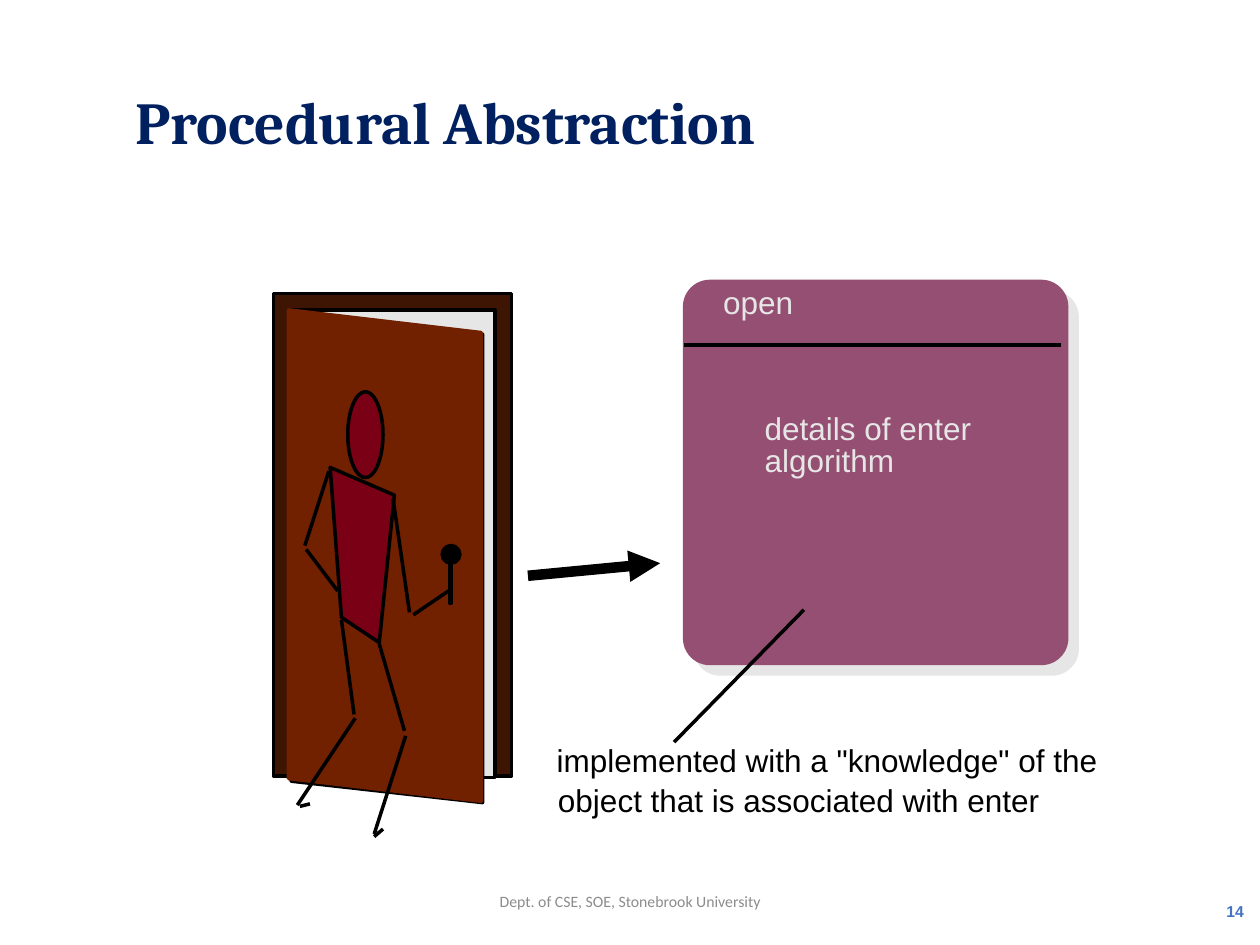
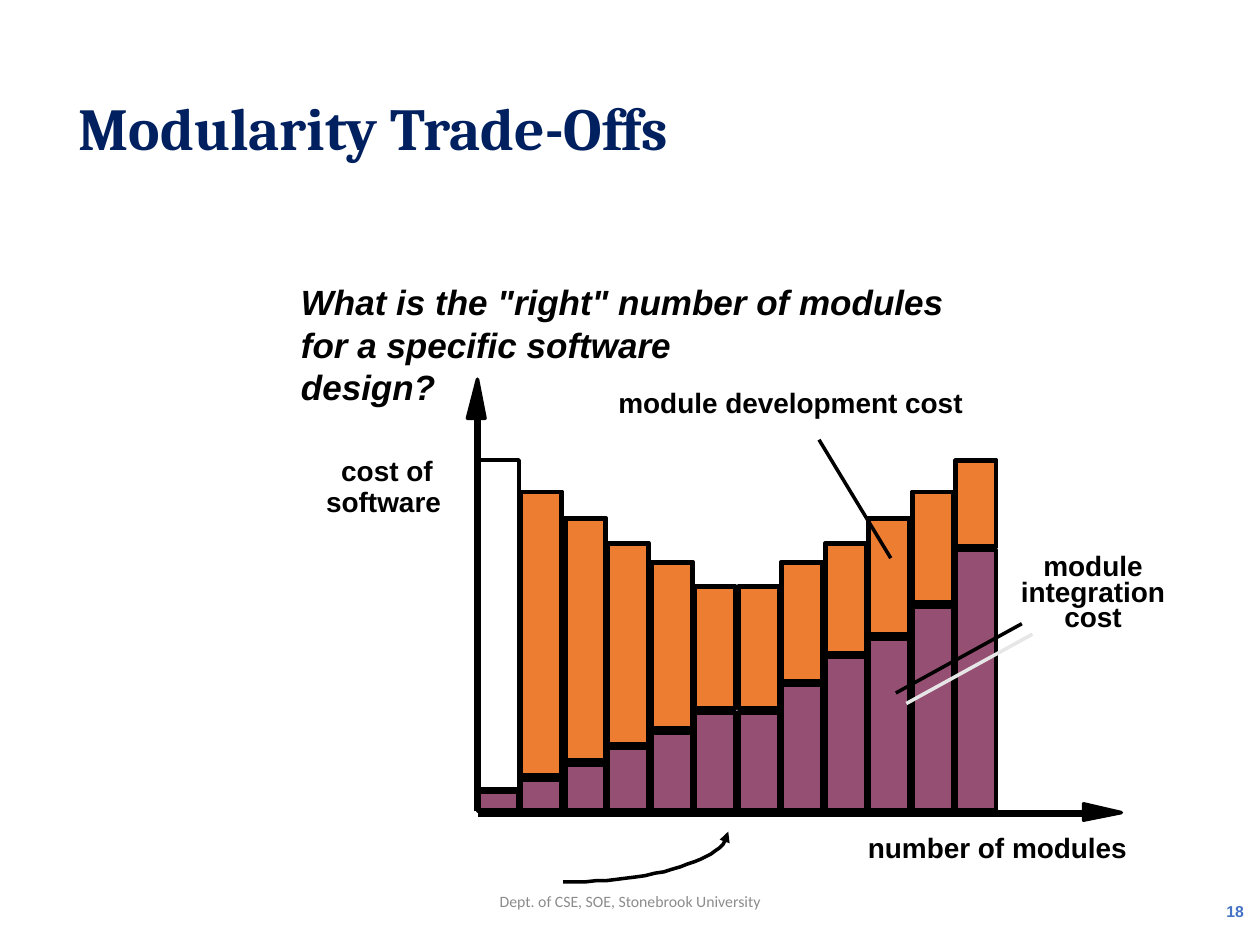
"""Build two slides on procedural abstraction and modularity trade-offs."""
import math
from lxml import etree
from pptx import Presentation
from pptx import util as u
from pptx.dml.color import RGBColor
from pptx.enum import shapes, text
from pptx.oxml.ns import qn

PX = 9144
HUE = {
    "navy": "002060", "black": "000000", "gray": "8C8C8C", "blue": "4472C4",
    "frame": "3E1403", "door": "712000", "body": "790015", "pale": "E7E6E6",
    "plum": "954F72", "orange": "ED7D31",
}
RECT = shapes.MSO_SHAPE.RECTANGLE
OVAL = shapes.MSO_SHAPE.OVAL
ROUND = shapes.MSO_SHAPE.ROUNDED_RECTANGLE
LEFT, MID, RIGHT = text.PP_ALIGN.LEFT, text.PP_ALIGN.CENTER, text.PP_ALIGN.RIGHT


def draw(slide, kind, at, fill=None, ink="black", width=2, cast=False, tip=False):
    """Add a preset shape, a "line" or a "free" outline, without theme effects."""
    if kind == "line":
        item = slide.shapes.add_connector(
            shapes.MSO_CONNECTOR.STRAIGHT, *[v * PX for v in at])
    elif kind == "free":
        path = slide.shapes.build_freeform(*at[0], scale=PX)
        item = path.add_line_segments(at[1:], close=False).convert_to_shape()
    else:
        item = slide.shapes.add_shape(kind, *[v * PX for v in at])
    if kind != "line":
        if fill:
            item.fill.solid()
            item.fill.fore_color.rgb = RGBColor.from_string(HUE[fill])
        else:
            item.fill.background()
    if ink:
        item.line.color.rgb = RGBColor.from_string(HUE[ink])
        item.line.width = u.Pt(width)
    else:
        item.line.fill.background()
    props = item._element.spPr
    if tip:
        etree.SubElement(props.find(qn("a:ln")), qn("a:tailEnd"), type="triangle")
    glow = etree.SubElement(props, qn("a:effectLst"))
    if cast:
        shade = etree.SubElement(glow, qn("a:outerShdw"), dist=str(u.Pt(8.5)),
                                 dir="2700000", algn="ctr", rotWithShape="0")
        etree.SubElement(shade, qn("a:srgbClr"), val=HUE["pale"])
    return item


def write(slide, words, at, size, hue="black", face="Arial", bold=False,
          slant=False, align=LEFT, wrap=False, lead=None, title=False):
    """Put words in the title placeholder or in a new text box."""
    box = slide.shapes.title if title else slide.shapes.add_textbox(0, 0, 0, 0)
    box.left, box.top, box.width, box.height = [v * PX for v in at]
    frame = box.text_frame
    frame.text = words
    frame.word_wrap = wrap
    frame.auto_size = text.MSO_AUTO_SIZE.NONE
    for para in frame.paragraphs:
        para.alignment = align
        para.line_spacing = lead
        font = para.font
        font.name, font.size, font.bold, font.italic = face, u.Pt(size), bold, slant
        font.color.rgb = RGBColor.from_string(HUE[hue])
    return frame


deck = Presentation()
deck.slide_width, deck.slide_height = 1000 * PX, 750 * PX
pages = []
for head, spot, num in (
    ("Procedural Abstraction", (91, 68, 525, 63), "14"),
    ("Modularity Trade-Offs", (55, 73, 483, 63), "18"),
):
    page = deck.slides.add_slide(deck.slide_layouts[5])
    frames = [
        write(page, head, spot, 34, "navy", "Cambria", bold=True, align=MID,
              lead=0.9, title=True),
        write(page, "Dept. of CSE, SOE, Stonebrook University", (331, 695, 338, 40),
              9, "gray", "Calibri", align=MID, wrap=True),
        write(page, num, (772, 703, 225, 40), 9, "blue", bold=True, align=RIGHT,
              wrap=True),
    ]
    for frame in frames:
        frame.vertical_anchor = text.MSO_ANCHOR.MIDDLE
    frames[0].margin_left = frames[0].margin_right = 7 * PX
    frames[0].margin_top = frames[0].margin_bottom = 3 * PX
    pages.append(page)
door, trade = pages

draw(door, "line", (419, 457, 524, 447), width=6, tip=True)
draw(door, RECT, (217, 233, 189, 383), "frame")
draw(door, RECT, (229, 246, 164, 371), "pale")
draw(door, "free", [(231, 247), (383, 265), (383, 637), (231, 620), (231, 247)])
draw(door, "free", [(229, 246), (382, 264), (382, 636), (229, 618), (229, 246)],
     "door", "door")
draw(door, OVAL, (351, 433, 14, 14), "black")
draw(door, RECT, (357, 446, 1, 33), "black")
draw(door, OVAL, (276, 311, 28, 68), "body")
draw(door, "free", [(262, 371), (313, 393), (301, 510), (271, 490), (262, 371)],
     "body")
for limb in (
    (312, 396, 325, 486), (328, 488, 356, 469),
    (261, 374, 242, 433), (243, 436, 268, 469),
    (301, 511, 321, 580), (322, 584, 297, 662), (297, 664, 304, 658),
    (271, 492, 281, 567), (282, 570, 236, 639), (238, 640, 246, 638),
):
    draw(door, "line", limb)

card = draw(door, ROUND, (542, 222, 306, 306), "plum", ink=None, cast=True)
card.adjustments[0] = 0.07
draw(door, "line", (543, 274, 842, 274))
draw(door, "line", (638, 484, 535, 589))
for words, spot, hue in (
    ("open", (564, 220, 94, 50), "pale"),
    ('implemented with a "knowledge" of the', (432, 583, 463, 40), "black"),
    ("object that is associated with enter", (433, 615, 402, 40), "black"),
    ("details of enter", (597, 320, 191, 40), "pale"),
    ("algorithm", (597, 345, 123, 40), "pale"),
):
    write(door, words, spot, 18, hue)

write(trade, 'What is the "right" number of modules', (229, 218, 537, 43), 20,
      bold=True, slant=True)
write(trade, "for a specific software design?", (229, 252, 420, 43), 20,
      bold=True, slant=True, wrap=True)

BASE, GAP = 644, 2
tops = [365, 390, 411, 431, 446, 465]
seams = [628, 618, 606, 593, 581, 565, 565, 543, 521, 506, 481, 436]
for i, (top, seam) in enumerate(zip(tops + tops[::-1], seams)):
    left = 379 + i * 345 // 10
    for start, end, fill in ((seam, BASE, "plum"), (top, seam - GAP, "orange")):
        if i or fill == "plum":
            draw(trade, RECT, (left + 1, start + 1, 31, end - start - 2), fill)
        draw(trade, RECT, (left, start, 33, end - start))

for words, spot in (
    ("cost of", (261, 355, 94, 36)),
    ("software", (249, 380, 112, 36)),
    ("number of modules", (679, 654, 226, 36)),
    ("module development cost", (481, 301, 300, 36)),
):
    write(trade, words, spot, 16, bold=True)
write(trade, "module\nintegration\ncost", (800, 437, 135, 70), 16, bold=True,
      align=MID, lead=0.75)

draw(trade, "line", (379, 646, 859, 646), width=4)
draw(trade, "free", [(890, 645), (860, 651), (860, 638), (890, 645)], "black")
draw(trade, "line", (379, 644, 379, 330), width=4)
draw(trade, "free", [(379, 301), (385, 332), (371, 332), (379, 301)], "black")
draw(trade, "line", (650, 349, 707, 443))
draw(trade, "line", (811, 495, 711, 550), cast=True)
STEPS = 24
turns = [math.pi / 2 * k / STEPS for k in range(STEPS + 1)]
draw(trade, "free",
     [(447 + 131 * math.sin(t), 660 + 40 * math.cos(t)) for t in turns], tip=True)

deck.save("out.pptx")
